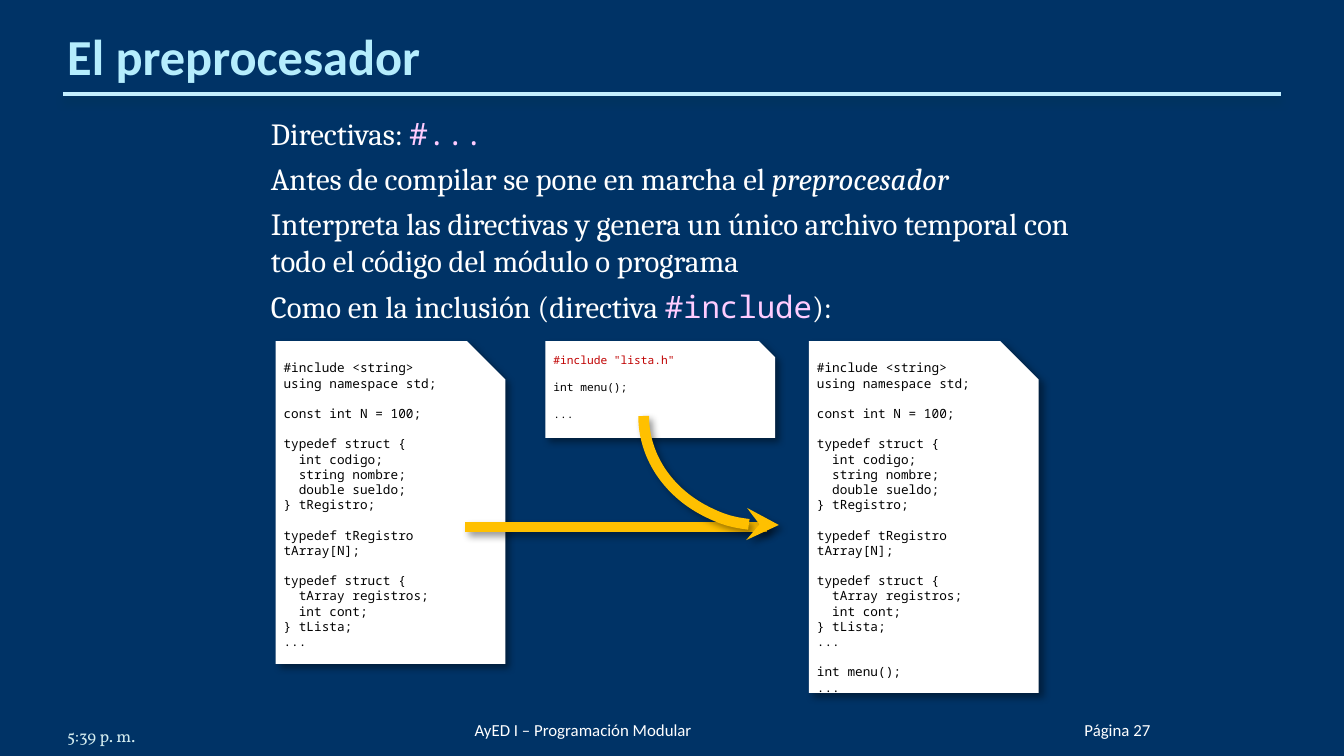
from dataclasses import dataclass

from lxml import etree
from pptx import Presentation
from pptx.dml.color import RGBColor
from pptx.enum.shapes import MSO_CONNECTOR, MSO_SHAPE
from pptx.enum.text import MSO_ANCHOR, MSO_AUTO_SIZE, PP_ALIGN
from pptx.oxml.ns import qn
from pptx.util import Cm, Pt

STRAIGHT = MSO_CONNECTOR.STRAIGHT
SNIPPED, ARC = MSO_SHAPE.SNIP_1_RECTANGLE, MSO_SHAPE.ARC
TOP, BOTTOM = MSO_ANCHOR.TOP, MSO_ANCHOR.BOTTOM
LEFT, RIGHT = PP_ALIGN.LEFT, PP_ALIGN.RIGHT
NO_FIT = MSO_AUTO_SIZE.NONE


@dataclass(frozen=True)
class Theme:
    background: str = "003366"
    title: str = "B5EDFD"
    title_edge: str = "0070C0"
    rule: str = "C4EFFF"
    rule_shadow: str = "00374C"
    text: str = "FFFFFF"
    directive: str = "FFCCFF"
    card: str = "FFFFFF"
    code: str = "000000"
    include: str = "C00000"
    arrow: str = "FFC000"
    time: str = "D1EAEE"
    heading_font: str = "Calibri"
    body_font: str = "Cambria"
    code_font: str = "Noto Sans Mono"
    time_font: str = "Vollkorn"
    title_size: float = 27
    body_size: float = 16.5
    code_size: float = 6.8
    small_code_size: float = 6
    footer_size: float = 9
    line_pitch: float = 1.19


THEME = Theme()

RECORDS = """#include <string>
using namespace std;

const int N = 100;

typedef struct {
  int codigo;
  string nombre;
  double sueldo;
} tRegistro;

typedef tRegistro tArray[N];

typedef struct {
  tArray registros;
  int cont;
} tLista;
..."""
MENU = """int menu();

..."""
MERGED = RECORDS + "\n\nint menu();\n..."


def color(value):
    return RGBColor.from_string(value)


def place(shape, box):
    shape.left, shape.top, shape.width, shape.height = (Cm(n) for n in box)


def set_frame(frame, margins=(0, 0, 0, 0), anchor=TOP):
    frame.word_wrap = True
    frame.auto_size = NO_FIT
    frame.vertical_anchor = anchor
    (frame.margin_left, frame.margin_top,
     frame.margin_right, frame.margin_bottom) = (Cm(n) for n in margins)


def add_span(para, text, font, size, ink, bold=False, italic=False):
    span = para.add_run()
    span.text = text
    span.font.name, span.font.size = font, Pt(size)
    span.font.bold, span.font.italic = bold, italic
    span.font.color.rgb = color(ink)
    return span


def next_para(frame, index):
    return frame.add_paragraph() if index else frame.paragraphs[0]


def add_shadow(shape, ink="000000", alpha=40, blur=4, distance=3, angle=45):
    effects = etree.SubElement(shape._element.spPr, qn("a:effectLst"))
    outer = etree.SubElement(
        effects, qn("a:outerShdw"), blurRad=str(Pt(blur)), dist=str(Pt(distance)),
        dir=str(angle * 60000), algn="t", rotWithShape="0")
    tint = etree.SubElement(outer, qn("a:srgbClr"), val=ink)
    etree.SubElement(tint, qn("a:alpha"), val=str(alpha * 1000))


def add_line(page, start, end, ink, width):
    line = page.shapes.add_connector(STRAIGHT, *(Cm(n) for n in start + end))
    line.line.color.rgb = color(ink)
    line.line.width = Pt(width)
    return line


def add_heading(page, box):
    title = page.shapes.title
    place(title, box)
    set_frame(title.text_frame, (0, 0.13, 0, 0), BOTTOM)
    para = title.text_frame.paragraphs[0]
    para.alignment, para.space_after = LEFT, Pt(4.5)
    span = add_span(para, "El preprocesador", THEME.heading_font,
                    THEME.title_size, THEME.title, bold=True)
    # Thin edge around the letters
    edge = etree.Element(qn("a:ln"), w=str(Pt(0.75)))
    fill = etree.SubElement(edge, qn("a:solidFill"))
    etree.SubElement(fill, qn("a:srgbClr"), val=THEME.title_edge)
    span.font._element.insert(0, edge)
    # Rule under the title
    left, top, width, height = box
    level = top + height + 0.16
    rule = add_line(page, (left - 0.08, level), (left + width + 0.08, level),
                    THEME.rule, 2.25)
    add_shadow(rule, THEME.rule_shadow, 48, 4.5, 3, 90)


def add_body(page, box):
    body = page.placeholders[1]
    place(body, box)
    set_frame(body.text_frame, (0.25, 0.13, 0.25, 0.13))
    plain = (THEME.body_font, THEME.body_size, THEME.text)
    code = (THEME.code_font, THEME.body_size, THEME.directive)
    lines = [
        [("Directivas: ", plain), ("#...", code)],
        [("Antes de compilar se pone en marcha el ", plain),
         ("preprocesador", plain + (False, True))],
        [("Interpreta las directivas y genera un único archivo temporal "
          "con todo el código del módulo o programa", plain)],
        [("Como en la inclusión (directiva ", plain), ("#include", code),
         ("):", plain)],
    ]
    for index, spans in enumerate(lines):
        para = next_para(body.text_frame, index)
        para.level = 1
        layout = para._p.get_or_add_pPr()
        layout.set("marL", str(Cm(0.76)))
        layout.set("indent", "0")
        etree.SubElement(layout, qn("a:buNone"))
        para.space_before, para.space_after = Pt(0), Pt(4.5)
        for text, style in spans:
            add_span(para, text, *style)


def add_code_card(page, box, listing, size, margin, first_ink=THEME.code):
    card = page.shapes.add_shape(SNIPPED, *(Cm(n) for n in box))
    card.fill.solid()
    card.fill.fore_color.rgb = color(THEME.card)
    card.line.fill.background()
    add_shadow(card)
    frame = card.text_frame
    set_frame(frame, (0.15, margin, 0.15, margin))
    # A gap in the listing becomes space before the next line
    count, gap = 0, False
    for line in listing.split("\n"):
        if line:
            para = next_para(frame, count)
            para.alignment = LEFT
            if gap:
                para.space_before = Pt(size * THEME.line_pitch)
            add_span(para, line, THEME.code_font, size,
                     THEME.code if count else first_ink)
            count += 1
        gap = not line


def add_curved_arrow(page, box):
    arc = page.shapes.add_shape(ARC, *(Cm(n) for n in box))
    arc.adjustments[0], arc.adjustments[1] = 162, 3.82
    arc.rotation = 90
    arc._element.spPr.find(qn("a:xfrm")).set("flipV", "1")
    arc.fill.background()
    arc.line.color.rgb = color(THEME.arrow)
    arc.line.width = Pt(5.75)
    etree.SubElement(arc.line._get_or_add_ln(), qn("a:tailEnd"), type="stealth")
    add_shadow(arc)


def add_inclusion_diagram(page, box):
    left, top, width, height = box
    card = 4.34
    add_code_card(page, (left, top, card, 6.1), RECORDS, THEME.code_size, 0)
    add_line_arrow = add_line(page, (left + 3.58, top + 3.51),
                              (left + 9.29, top + 3.51), THEME.arrow, 5.5)
    add_shadow(add_line_arrow)
    add_code_card(page, (left + 5.1, top, card, 1.83),
                  '#include "lista.h"\n\n' + MENU,
                  THEME.small_code_size, 0.08, THEME.include)
    add_code_card(page, (left + width - card, top, card, height), MERGED,
                  THEME.code_size, 0)
    add_curved_arrow(page, (left + 7.21, top - 0.91, 4.14, 4.65))


def add_footer(page, box, text, font, ink, alignment=LEFT):
    note = page.shapes.add_textbox(*(Cm(n) for n in box))
    set_frame(note.text_frame, anchor=BOTTOM)
    para = note.text_frame.paragraphs[0]
    para.alignment = alignment
    add_span(para, text, font, THEME.footer_size, ink)


def main():
    deck = Presentation()
    deck.slide_width, deck.slide_height = Cm(25.4), Cm(14.29)
    page = deck.slides.add_slide(deck.slide_layouts[1])
    page.background.fill.solid()
    page.background.fill.fore_color.rgb = color(THEME.background)
    add_heading(page, (1.27, 0.58, 22.86, 1.04))
    add_body(page, (4.11, 2.03, 17.42, 10.64))
    add_inclusion_diagram(page, (5.21, 6.45, 14.42, 6.65))
    # Footer: page number, course, time
    add_footer(page, (19.25, 13.23, 2.49, 0.76), "Página 27",
               THEME.heading_font, THEME.text, RIGHT)
    add_footer(page, (8.97, 13.23, 8.74, 0.76), "AyED I – Programación Modular",
               THEME.heading_font, THEME.text)
    add_footer(page, (1.27, 13.34, 5.92, 0.76), "5:39 p. m.",
               THEME.time_font, THEME.time)
    deck.save("out.pptx")


if __name__ == "__main__":
    main()
